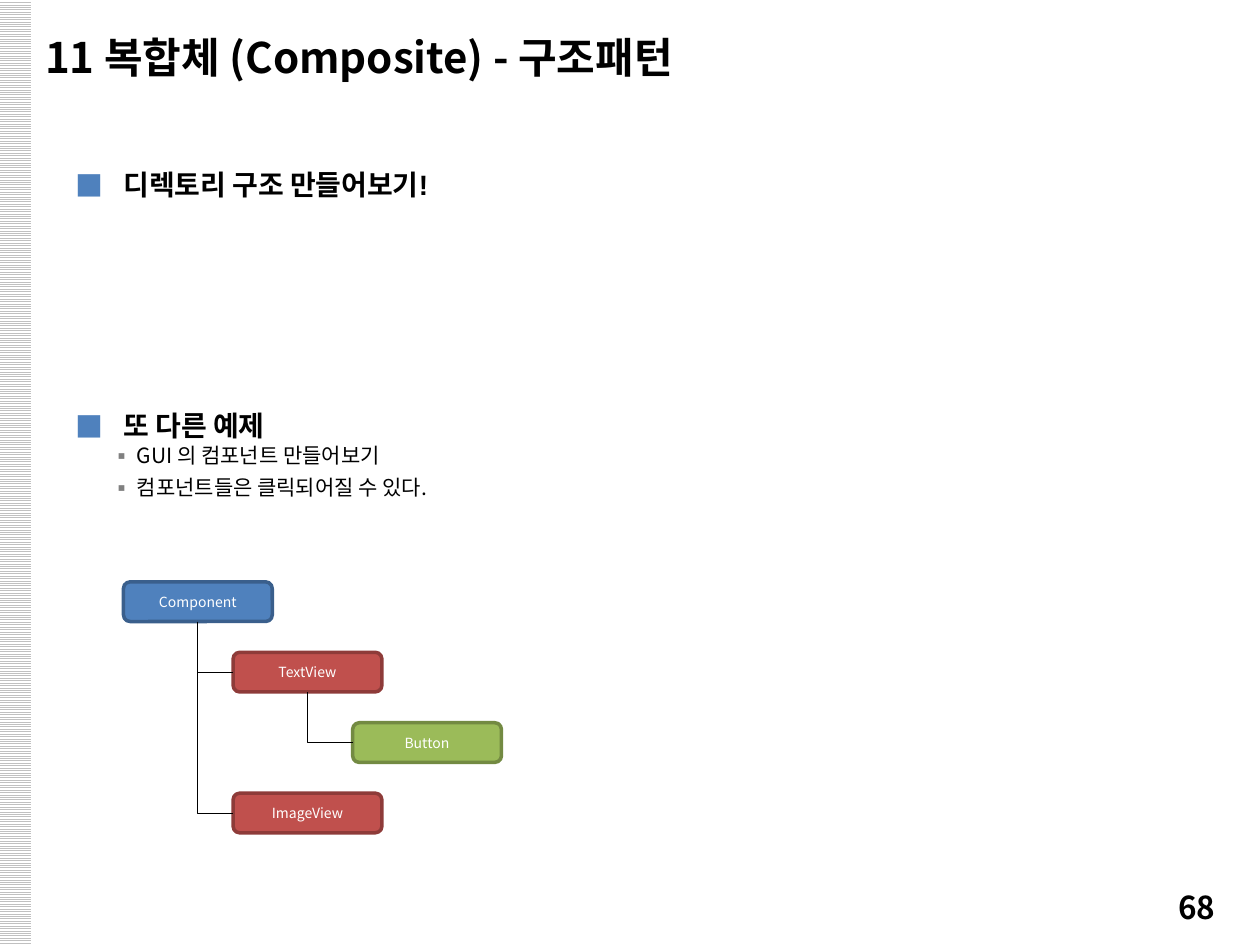
"""Build the Composite pattern slide with its component tree."""
from lxml.etree import SubElement
from pptx import Presentation
from pptx.dml.color import RGBColor
from pptx.enum.dml import MSO_PATTERN
from pptx.enum.shapes import MSO_CONNECTOR, MSO_SHAPE
from pptx.enum.text import MSO_ANCHOR, PP_ALIGN
from pptx.oxml.ns import qn
from pptx.util import Cm, Pt

BLACK = RGBColor(0x00, 0x00, 0x00)
WHITE = RGBColor(0xFF, 0xFF, 0xFF)
SILVER = RGBColor(0xC0, 0xC0, 0xC0)
GRAY = RGBColor(0x80, 0x80, 0x80)
BLUE, BLUE_EDGE = RGBColor(0x4F, 0x81, 0xBD), RGBColor(0x3A, 0x5F, 0x8C)
RED, RED_EDGE = RGBColor(0xC0, 0x50, 0x4D), RGBColor(0x8E, 0x3B, 0x39)
GREEN, GREEN_EDGE = RGBColor(0x9B, 0xBB, 0x59), RGBColor(0x73, 0x8A, 0x42)
KOREAN = "Noto Sans CJK KR"

TITLE = "11 복합체 (Composite) - 구조패턴"
PAGE = "68"
HEAD = {
    "font": {"size": Pt(16), "bold": True, "name": "Arial"},
    "bullet": ("■", BLUE), "margin": 0.97, "indent": -0.97,
}
ITEM = {
    "font": {"size": Pt(12), "bold": False, "name": KOREAN},
    "bullet": ("▪", GRAY), "margin": 1.24, "indent": -0.51,
}
BODY = [
    ("디렉토리 구조 만들어보기!", HEAD, {"line_spacing": 1.5}),
    ("또 다른 예제", HEAD, {"line_spacing": 1.5, "space_before": Pt(109)}),
    ("GUI 의 컴포넌트 만들어보기", ITEM, {"space_after": Pt(4)}),
    ("컴포넌트들은 클릭되어질 수 있다.", ITEM, {"space_after": Pt(4)}),
]
COLOURS = [(BLUE, BLUE_EDGE), (RED, RED_EDGE), (GREEN, GREEN_EDGE)]
TREE = [
    ("Component", 0, None),
    ("TextView", 1, "Component"),
    ("Button", 2, "TextView"),
    ("ImageView", 1, "Component"),
]
LEVEL_LEFT = [2.49, 4.7, 7.11]
TREE_TOP, TREE_STEP, NODE_W, NODE_H = 11.73, 1.42, 3, 0.8


def apply(obj, values):
    for name, value in values.items():
        setattr(obj, name, value)


def add_run(p, text, font, colour):
    r = p.add_run()
    r.text = text
    apply(r.font, font)
    r.font.color.rgb = colour
    SubElement(r.font._element, qn("a:ea"), typeface=KOREAN)


def add_text_box(s, at, anchor=MSO_ANCHOR.TOP):
    tf = s.shapes.add_textbox(*map(Cm, at)).text_frame
    apply(tf, {"word_wrap": True, "vertical_anchor": anchor})
    return tf


def set_bullet(p, char, colour, margin, indent):
    pr = p._p.get_or_add_pPr()
    pr.set("marL", str(Cm(margin)))
    pr.set("indent", str(Cm(indent)))
    SubElement(SubElement(pr, qn("a:buClr")), qn("a:srgbClr"), val=str(colour))
    SubElement(pr, qn("a:buFont"), typeface=KOREAN)
    SubElement(pr, qn("a:buChar"), char=char)


def add_body(s):
    tf = add_text_box(s, (1.27, 2.92, 23.04, 14.66))
    for i, (text, style, spacing) in enumerate(BODY):
        p = tf.add_paragraph() if i else tf.paragraphs[0]
        apply(p, spacing)
        set_bullet(p, *style["bullet"], style["margin"], style["indent"])
        add_run(p, text, style["font"], BLACK)


def add_node(s, text, level, row):
    left, top = LEVEL_LEFT[level], TREE_TOP + row * TREE_STEP
    sp = s.shapes.add_shape(MSO_SHAPE.ROUNDED_RECTANGLE,
                            Cm(left), Cm(top), Cm(NODE_W), Cm(NODE_H))
    sp.shadow.inherit = False
    fill, edge = COLOURS[level]
    sp.fill.solid()
    sp.fill.fore_color.rgb = fill
    sp.line.color.rgb = edge
    sp.line.width = Pt(2)
    tf = sp.text_frame
    tf.vertical_anchor = MSO_ANCHOR.MIDDLE
    p = tf.paragraphs[0]
    p.alignment = PP_ALIGN.CENTER
    add_run(p, text, {"size": Pt(8), "name": KOREAN}, WHITE)
    return sp


def join(s, parent, child):
    cn = s.shapes.add_connector(MSO_CONNECTOR.ELBOW, 0, 0, 0, 0)
    cn.begin_connect(parent, 2)
    cn.end_connect(child, 1)
    x, y, w, h = cn.left, cn.top, cn.width, cn.height
    apply(cn, {"left": x + (w - h) // 2, "top": y + (h - w) // 2,
               "width": h, "height": w})
    pr = cn._element.spPr
    xfrm = pr.find(qn("a:xfrm"))
    xfrm.set("rot", "16200000")
    xfrm.set("flipH", "1")
    pr.find(qn("a:prstGeom")).set("prst", "bentConnector2")
    cn.line.color.rgb = BLACK
    cn.line.width = Pt(0.5)
    SubElement(pr, qn("a:effectLst"))


def main():
    prs = Presentation()
    prs.slide_width, prs.slide_height = Cm(25.4), Cm(19.05)
    s = prs.slides.add_slide(prs.slide_layouts[6])

    strip = s.shapes.add_shape(MSO_SHAPE.RECTANGLE, Cm(-0.03), 0, Cm(0.66), Cm(19.05))
    strip.shadow.inherit = False
    strip.line.fill.background()
    strip.fill.patterned()
    strip.fill.pattern = MSO_PATTERN.LIGHT_HORIZONTAL
    strip.fill.fore_color.rgb = SILVER
    strip.fill.back_color.rgb = WHITE

    for text, size, at, anchor in (
        (PAGE, 18, (23.5, 17.78, 1.9, 1.07), MSO_ANCHOR.TOP),
        (TITLE, 24, (0.66, 0.38, 23.67, 1.52), MSO_ANCHOR.MIDDLE),
    ):
        p = add_text_box(s, at, anchor).paragraphs[0]
        add_run(p, text, {"size": Pt(size), "bold": True, "name": KOREAN}, BLACK)

    add_body(s)
    nodes = {text: add_node(s, text, level, row)
             for row, (text, level, _) in enumerate(TREE)}
    for text, _, parent in TREE:
        if parent:
            join(s, nodes[parent], nodes[text])
    prs.save("out.pptx")


if __name__ == "__main__":
    main()
